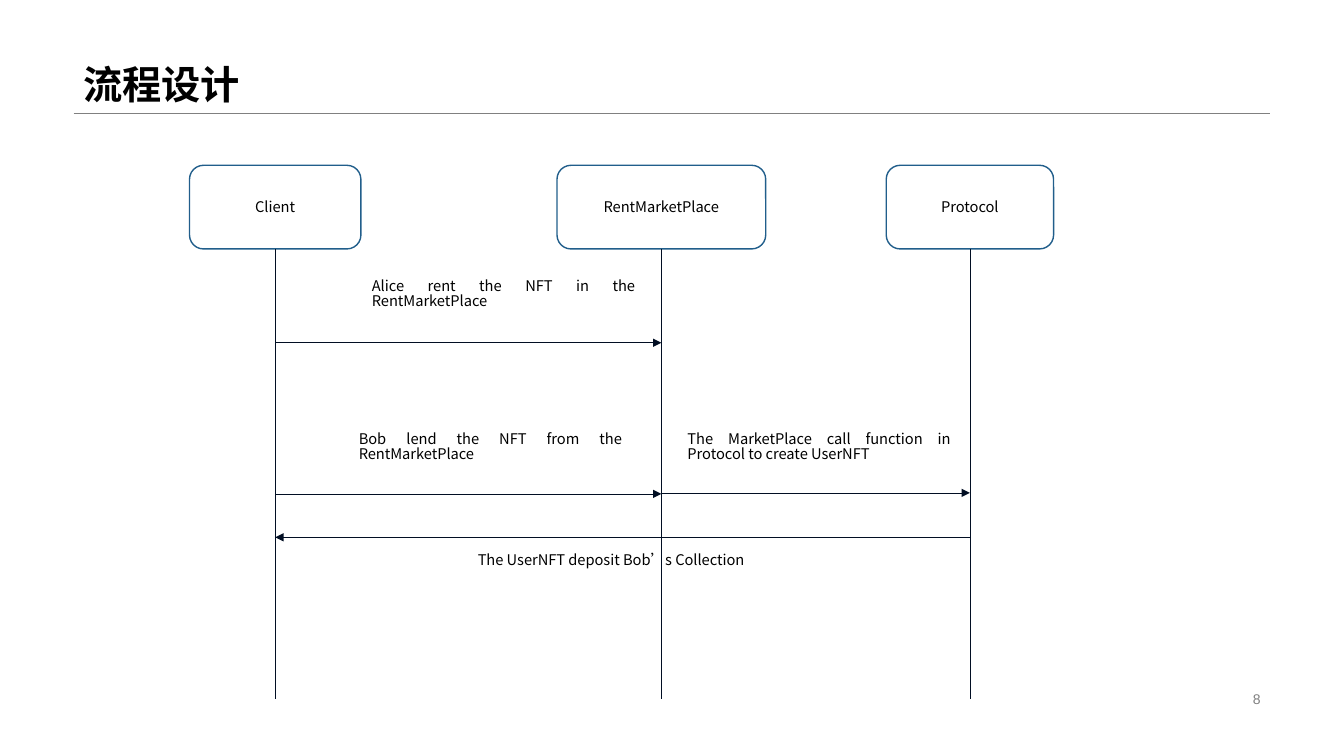
from lxml import etree
from pptx import Presentation
from pptx import util as u
from pptx.dml.color import RGBColor
from pptx.enum import shapes, text
from pptx.oxml.ns import qn

WIDTH, HEIGHT = 13.33, 7.5
COLORS = {"ink": "000000", "paper": "FFFFFF", "grey": "808080",
          "frame": "215E8B", "arrow": "010E23"}
LATIN, CJK = "Arial", "Noto Sans CJK SC"
ALIGN, ANCHOR = text.PP_ALIGN, text.MSO_ANCHOR


def color(name):
    return RGBColor.from_string(COLORS[name])


def write(box, words, size=10.5, font=CJK, ink="ink", bold=False,
          align=ALIGN.JUSTIFY, anchor=ANCHOR.TOP, spacing=None):
    frame = box.text_frame
    frame.word_wrap = True
    frame.vertical_anchor = anchor
    para = frame.paragraphs[0]
    para.alignment = align
    para.line_spacing = spacing
    span = para.add_run()
    span.text = words
    span.font.size, span.font.bold, span.font.name = u.Pt(size), bold, font
    span.font.color.rgb = color(ink)
    # East Asian glyphs need their own typeface
    etree.SubElement(span.font._element, qn("a:ea"), typeface=CJK)


def add_box(page, left, top, width, height, frame=None):
    kind = shapes.MSO_SHAPE.ROUNDED_RECTANGLE if frame else shapes.MSO_SHAPE.RECTANGLE
    box = page.shapes.add_shape(kind, *map(u.Inches, (left, top, width, height)))
    box.shadow.inherit = False
    box.fill.solid()
    box.fill.fore_color.rgb = color("paper")
    if frame:
        box.line.color.rgb = color(frame)
        box.line.width = u.Pt(1)
    else:
        box.line.fill.background()
    return box


def add_line(page, x1, y1, x2, y2, ink="arrow", weight=0.5, arrow=False):
    line = page.shapes.add_connector(shapes.MSO_CONNECTOR.STRAIGHT,
                                     *map(u.Inches, (x1, y1, x2, y2)))
    line.line.color.rgb = color(ink)
    line.line.width = u.Pt(weight)
    if arrow:
        etree.SubElement(line.line._get_or_add_ln(), qn("a:tailEnd"), type="triangle")
    etree.SubElement(line._element.spPr, qn("a:effectLst"))


def add_header(page, left, top, width, height):
    bottom = top + height
    add_line(page, left, bottom, left + width, bottom, ink="grey", weight=0.25)
    title = page.shapes.add_textbox(*map(u.Inches, (left, top, width, height)))
    write(title, "流程设计", size=28, font=LATIN, bold=True, align=ALIGN.LEFT,
          anchor=ANCHOR.BOTTOM, spacing=0.9)


def add_page_number(page, left, top, width, height):
    number = page.shapes.add_textbox(*map(u.Inches, (left, top, width, height)))
    write(number, "8", size=10, font=LATIN, ink="grey", align=ALIGN.RIGHT,
          anchor=ANCHOR.MIDDLE)


def add_sequence(page, left, top, width, height):
    """Actors, lifelines and messages, placed from the box's top left corner."""
    head = 0.83
    actors = [("Client", 0.84, 1.70), ("RentMarketPlace", 4.67, 2.07),
              ("Protocol", 7.73, 1.66)]
    center = {name: left + middle for name, middle, _ in actors}

    # Message labels: words, left, top, width, height
    labels = [
        ("The UserNFT deposit Bob’s Collection", 2.75, 3.80, 5.49, 0.46),
        ("Alice rent the NFT in the RentMarketPlace", 1.70, 1.08, 2.81, 0.50),
        ("Bob lend the NFT from the RentMarketPlace", 1.57, 2.60, 2.81, 0.65),
        ("The MarketPlace call function in Protocol to create UserNFT",
         4.83, 2.60, 2.81, 0.57),
    ]
    for words, x, y, wide, high in labels:
        write(add_box(page, left + x, top + y, wide, high), words, spacing=0.85)

    # Actors with their lifelines
    for name, _, wide in actors:
        box = add_box(page, center[name] - wide / 2, top, wide, head, frame="frame")
        write(box, name, align=ALIGN.CENTER, anchor=ANCHOR.MIDDLE)
        add_line(page, center[name], top + head, center[name], top + height)

    # Messages: sender, receiver, depth
    for sender, receiver, depth in [("Client", "RentMarketPlace", 1.76),
                                    ("Client", "RentMarketPlace", 3.26),
                                    ("RentMarketPlace", "Protocol", 3.25),
                                    ("Protocol", "Client", 3.69)]:
        add_line(page, center[sender], top + depth, center[receiver], top + depth,
                 arrow=True)


def main():
    deck = Presentation()
    deck.slide_width, deck.slide_height = u.Inches(WIDTH), u.Inches(HEIGHT)
    page = deck.slides.add_slide(deck.slide_layouts[6])
    add_header(page, 0.73, 0, 11.87, 1.12)
    add_page_number(page, 9.42, 6.82, 3.18, 0.23)
    add_sequence(page, 1.89, 1.64, 8.52, 5.29)
    deck.save("out.pptx")


if __name__ == "__main__":
    main()
